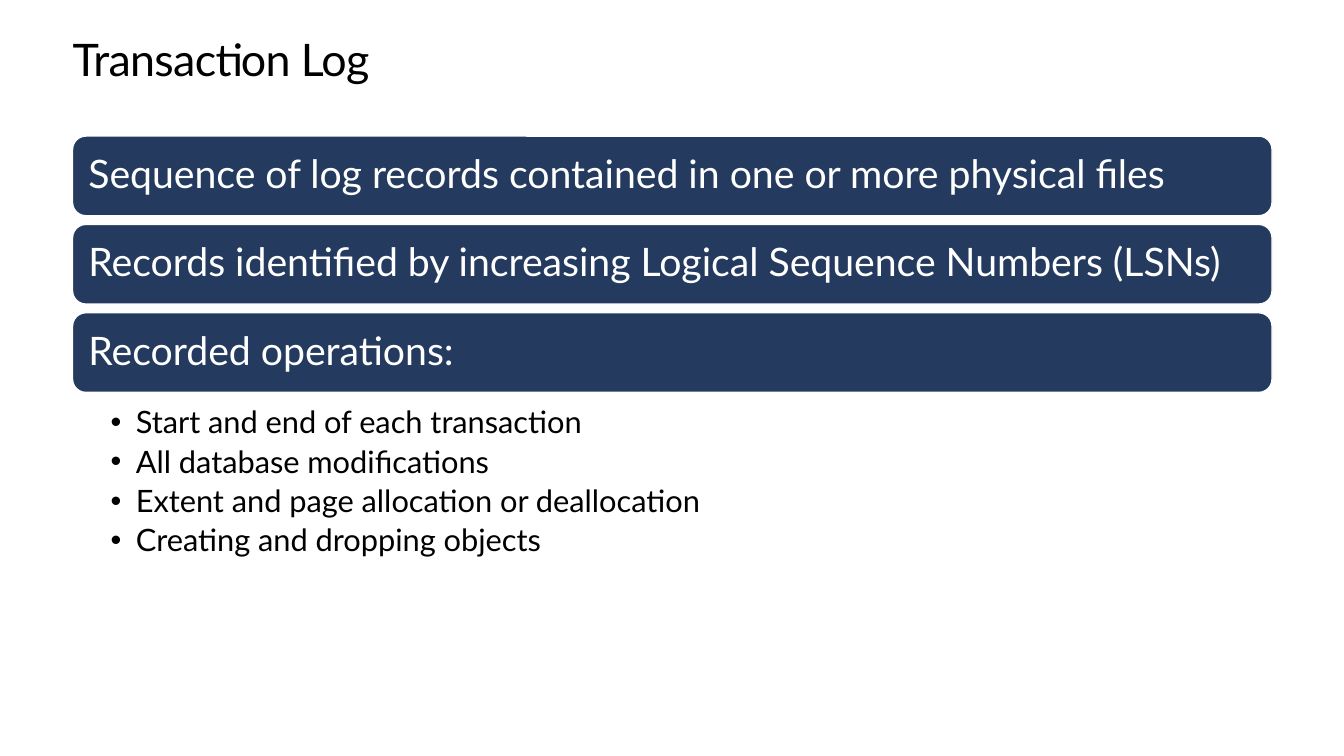
"""Build the Transaction Log slide."""
from dataclasses import dataclass

from lxml.etree import SubElement
from pptx import Presentation
from pptx.dml.color import RGBColor as Rgb
from pptx.enum.shapes import MSO_SHAPE as Kind
from pptx.enum.text import MSO_ANCHOR as Anchor, PP_ALIGN as Align
from pptx.oxml.ns import qn
from pptx.util import Pt

COLORS = {"navy": "243A5E", "white": "FFFFFF", "black": "000000"}
FONT = "Lato"
LEFT, WIDTH = 51.84, 856.8
TOP, STEP, HIGH = 97.2, 63.1, 56.88


@dataclass
class Bar:
    text: str
    row: int


BARS = [
    Bar("Sequence of log records contained in one or more physical files", 0),
    Bar("Records identified by increasing Logical Sequence Numbers (LSNs)", 1),
    Bar("Recorded operations:", 2),
]
ITEMS = [
    "Start and end of each transaction",
    "All database modifications",
    "Extent and page allocation or deallocation",
    "Creating and dropping objects",
]


def color(name: str) -> Rgb:
    return Rgb.from_string(COLORS[name])


def setup(frame, left: float, top: float, right: float, low: float) -> None:
    frame.word_wrap = True
    frame.margin_left, frame.margin_top = Pt(left), Pt(top)
    frame.margin_right, frame.margin_bottom = Pt(right), Pt(low)


def style(para, size: float, tint: str) -> None:
    para.alignment = Align.LEFT
    para.line_spacing = 0.9
    for run in para.runs:
        run.font.name = FONT
        run.font.size = Pt(size)
        run.font.color.rgb = color(tint)


def bullet(para) -> None:
    props = para._p.get_or_add_pPr()
    props.set("marL", str(Pt(18)))
    props.set("indent", str(Pt(-18)))
    SubElement(props, qn("a:buFont"), typeface="Arial")
    SubElement(props, qn("a:buChar"), char="•")


def add_title(slide, text: str) -> None:
    box = slide.shapes.add_textbox(Pt(LEFT), Pt(25.2), Pt(WIDTH), Pt(36))
    box.fill.solid()
    box.fill.fore_color.rgb = color("white")
    frame = box.text_frame
    setup(frame, 0, 0, 0, 0)
    frame.text = text
    para = frame.paragraphs[0]
    style(para, 32, "black")
    para.line_spacing = Pt(36.2)
    para.runs[0]._r.get_or_add_rPr().set("spc", "-50")


def add_bar(slide, bar: Bar) -> None:
    shape = slide.shapes.add_shape(
        Kind.ROUNDED_RECTANGLE,
        Pt(LEFT), Pt(TOP + bar.row * STEP), Pt(WIDTH), Pt(HIGH))
    shape.shadow.inherit = False
    shape.fill.solid()
    shape.fill.fore_color.rgb = color("navy")
    shape.line.color.rgb = color("white")
    shape.line.width = Pt(1)
    frame = shape.text_frame
    setup(frame, 8.6, 8.6, 8.6, 8.6)
    frame.vertical_anchor = Anchor.MIDDLE
    frame.text = bar.text
    style(frame.paragraphs[0], 28, "white")


def add_list(slide, items: list[str]) -> None:
    box = slide.shapes.add_textbox(Pt(LEFT), Pt(288), Pt(WIDTH), Pt(130.3))
    frame = box.text_frame
    setup(frame, 27.2, 2.8, 15.6, 2.8)
    frame.text = "\n".join(items)
    for para in frame.paragraphs:
        para.level = 1
        bullet(para)
        style(para, 22, "black")
        para.space_after = Pt(4.4)


def main() -> None:
    deck = Presentation()
    deck.slide_width, deck.slide_height = Pt(960), Pt(540)
    slide = deck.slides.add_slide(deck.slide_layouts[6])
    add_title(slide, "Transaction Log")
    for bar in BARS:
        add_bar(slide, bar)
    add_list(slide, ITEMS)
    deck.save("out.pptx")


if __name__ == "__main__":
    main()
